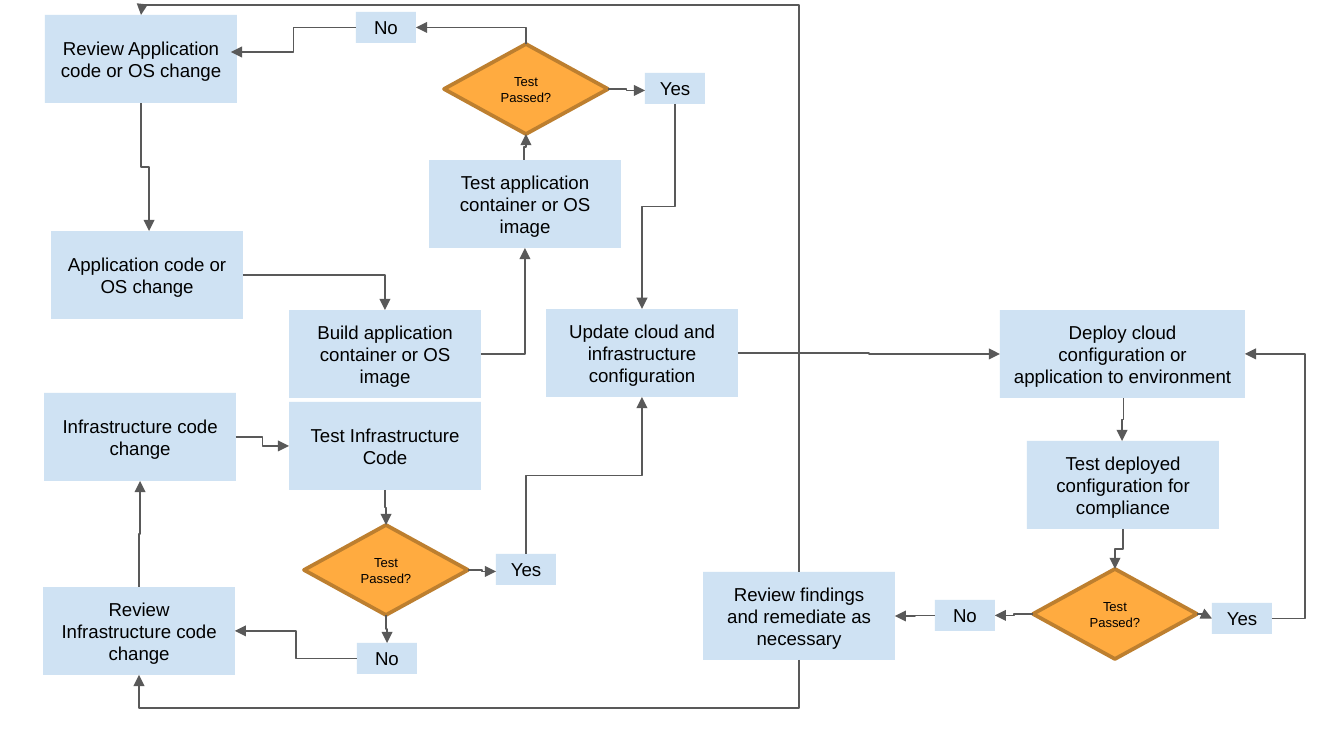
import dataclasses
import typing

import lxml.etree
import pptx
import pptx.dml.color
import pptx.enum.shapes
import pptx.enum.text
import pptx.oxml.ns
import pptx.util

EMU_PER_PIXEL = 914400 / 134.4
BOX_BLUE = pptx.dml.color.RGBColor(0xCF, 0xE2, 0xF3)
DIAMOND_ORANGE = pptx.dml.color.RGBColor(0xFF, 0xAB, 0x40)
DIAMOND_EDGE = pptx.dml.color.RGBColor(0xBD, 0x7F, 0x2F)
ARROW_GREY = pptx.dml.color.RGBColor(0x59, 0x59, 0x59)
BLACK = pptx.dml.color.RGBColor(0, 0, 0)
SHAPES = pptx.enum.shapes.MSO_SHAPE
Point = typing.Tuple[float, float]


@dataclasses.dataclass(frozen=True)
class Style:
    """Look shared by all nodes of one kind."""
    preset: typing.Any
    fill: pptx.dml.color.RGBColor
    edge: typing.Optional[pptx.dml.color.RGBColor]
    font_size: int
    inset: int


@dataclasses.dataclass(frozen=True)
class Node:
    """One box of the flow, in pixels."""
    text: str
    left: int
    top: int
    width: int
    height: int
    style: Style

    def side(self, name: str, shift: Point) -> Point:
        """Return the middle of a side, moved by a shift."""
        across, down = {"left": (0, 0.5), "right": (1, 0.5),
                        "top": (0.5, 0), "bottom": (0.5, 1)}[name]
        return (self.left + across * self.width + shift[0],
                self.top + down * self.height + shift[1])


@dataclasses.dataclass(frozen=True)
class Route:
    """An elbow arrow between two sides; turn is where its middle leg lies."""
    source: str
    source_side: str
    target: str
    target_side: str
    turn: typing.Optional[int] = None
    source_shift: Point = (0, 0)
    target_shift: Point = (0, 0)


BOX = Style(SHAPES.RECTANGLE, BOX_BLUE, None, 10, 13)
DIAMOND = Style(SHAPES.FLOWCHART_DECISION, DIAMOND_ORANGE, DIAMOND_EDGE, 7, 13)


def step(text: str, left: int, top: int, width: int = 192) -> Node:
    """Describe a process step."""
    return Node(text, left, top, width, 88, BOX)


def answer(text: str, left: int, top: int) -> Node:
    """Describe a small Yes or No box."""
    return Node(text, left, top, 60, 31, BOX)


def decision(left: int, top: int) -> Node:
    """Describe a test diamond."""
    return Node("Test Passed?", left, top, 164, 90, DIAMOND)


NODES = {
    "review app": step("Review Application code or OS change", 45, 15),
    "app change": step("Application code or OS change", 51, 231),
    "build app": step("Build application container or OS image", 289, 310),
    "test app": step("Test application container or OS image", 429, 160),
    "app passed": decision(444, 44),
    "app yes": answer("Yes", 645, 73),
    "app no": answer("No", 356, 12),
    "infra change": step("Infrastructure code change", 44, 393),
    "test infra": step("Test Infrastructure Code", 289, 402),
    "infra passed": decision(304, 525),
    "infra yes": answer("Yes", 496, 554),
    "infra no": answer("No", 357, 643),
    "review infra": step("Review Infrastructure code change", 43, 587),
    "update": step("Update cloud and infrastructure configuration", 546, 309),
    "deploy": step("Deploy cloud configuration or application to environment",
                   1000, 310, 245),
    "test deployed": step("Test deployed configuration for compliance", 1027, 441),
    "deploy passed": decision(1033, 569),
    "deploy yes": answer("Yes", 1212, 603),
    "deploy no": answer("No", 935, 600),
    "findings": step("Review findings and remediate as necessary", 703, 572),
}

ROUTES = [
    Route("review app", "bottom", "app change", "top", target_shift=(2, 0)),
    Route("app change", "right", "build app", "top"),
    Route("build app", "right", "test app", "bottom"),
    Route("test app", "top", "app passed", "bottom", source_shift=(-1, 0)),
    Route("app passed", "right", "app yes", "left", target_shift=(0, 2)),
    Route("app passed", "top", "app no", "right"),
    Route("app no", "left", "review app", "right", target_shift=(-6, -7)),
    Route("app yes", "bottom", "update", "top"),
    Route("infra change", "right", "test infra", "left"),
    Route("test infra", "bottom", "infra passed", "top"),
    Route("infra passed", "right", "infra yes", "left", target_shift=(0, 2)),
    Route("infra passed", "bottom", "infra no", "top"),
    Route("infra no", "left", "review infra", "right"),
    Route("review infra", "top", "infra change", "bottom"),
    Route("infra yes", "top", "update", "bottom"),
    Route("update", "right", "deploy", "left"),
    Route("deploy", "bottom", "test deployed", "top", None, (1, 0), (-1, 0)),
    Route("test deployed", "bottom", "deploy passed", "top"),
    Route("deploy passed", "right", "deploy yes", "left"),
    Route("deploy yes", "right", "deploy", "right", turn=1305),
    Route("deploy passed", "left", "deploy no", "right"),
    Route("deploy no", "left", "findings", "right"),
    Route("findings", "bottom", "review infra", "bottom", turn=708),
    Route("findings", "top", "review app", "top", turn=5),
]


def emu(pixels: float) -> pptx.util.Emu:
    """Turn pixels into EMU."""
    return pptx.util.Emu(round(pixels * EMU_PER_PIXEL))


def draw_node(page: typing.Any, node: Node) -> None:
    """Draw one box with its centred label."""
    style = node.style
    box = page.shapes.add_shape(style.preset, emu(node.left), emu(node.top),
                                emu(node.width), emu(node.height))
    box.shadow.inherit = False
    box.fill.solid()
    box.fill.fore_color.rgb = style.fill
    if style.edge is None:
        box.line.fill.background()
    else:
        box.line.color.rgb = style.edge
        box.line.width = pptx.util.Pt(2)
    frame = box.text_frame
    frame.word_wrap = True
    frame.vertical_anchor = pptx.enum.text.MSO_ANCHOR.MIDDLE
    frame.margin_left = frame.margin_right = emu(style.inset)
    frame.margin_top = frame.margin_bottom = emu(style.inset)
    para = frame.paragraphs[0]
    para.alignment = pptx.enum.text.PP_ALIGN.CENTER
    span = para.add_run()
    span.text = node.text
    span.font.name = "Arial"
    span.font.size = pptx.util.Pt(style.font_size)
    span.font.color.rgb = BLACK


def draw_route(page: typing.Any, route: Route) -> None:
    """Draw one elbow arrow, rotated when it leaves a top or bottom side."""
    start = NODES[route.source].side(route.source_side, route.source_shift)
    end = NODES[route.target].side(route.target_side, route.target_shift)
    upright = route.source_side in ("top", "bottom")
    corner = upright != (route.target_side in ("top", "bottom"))
    run, rise = end[0] - start[0], end[1] - start[1]
    rotation = 0
    if upright:
        rotation = 270 if run * rise > 0 else 90
        run, rise = (-rise, run) if rotation == 270 else (rise, -run)
    middle_x, middle_y = (start[0] + end[0]) / 2, (start[1] + end[1]) / 2
    arrow = page.shapes.add_connector(
        pptx.enum.shapes.MSO_CONNECTOR.ELBOW,
        emu(middle_x - run / 2), emu(middle_y - rise / 2),
        emu(middle_x + run / 2), emu(middle_y + rise / 2))
    arrow.line.color.rgb = ARROW_GREY
    arrow.line.width = pptx.util.Pt(0.75)
    qn = pptx.oxml.ns.qn
    properties = arrow._element.spPr
    if rotation:
        properties.find(qn("a:xfrm")).set("rot", str(rotation * 60000))
    geometry = properties.find(qn("a:prstGeom"))
    if corner:
        geometry.set("prst", "bentConnector2")
    elif route.turn is not None:
        axis = 1 if upright else 0
        share = (route.turn - start[axis]) / (end[axis] - start[axis])
        lxml.etree.SubElement(geometry.find(qn("a:avLst")), qn("a:gd"), name="adj1",
                              fmla=f"val {round(share * 100000)}")
    lxml.etree.SubElement(properties.find(qn("a:ln")), qn("a:tailEnd"), type="triangle")
    lxml.etree.SubElement(properties, qn("a:effectLst"))


def main() -> None:
    """Build the deck and save it."""
    deck = pptx.Presentation()
    deck.slide_width, deck.slide_height = emu(1344), emu(756)
    page = deck.slides.add_slide(deck.slide_layouts[6])
    for node in NODES.values():
        draw_node(page, node)
    for route in ROUTES:
        draw_route(page, route)
    deck.save("out.pptx")


main()
